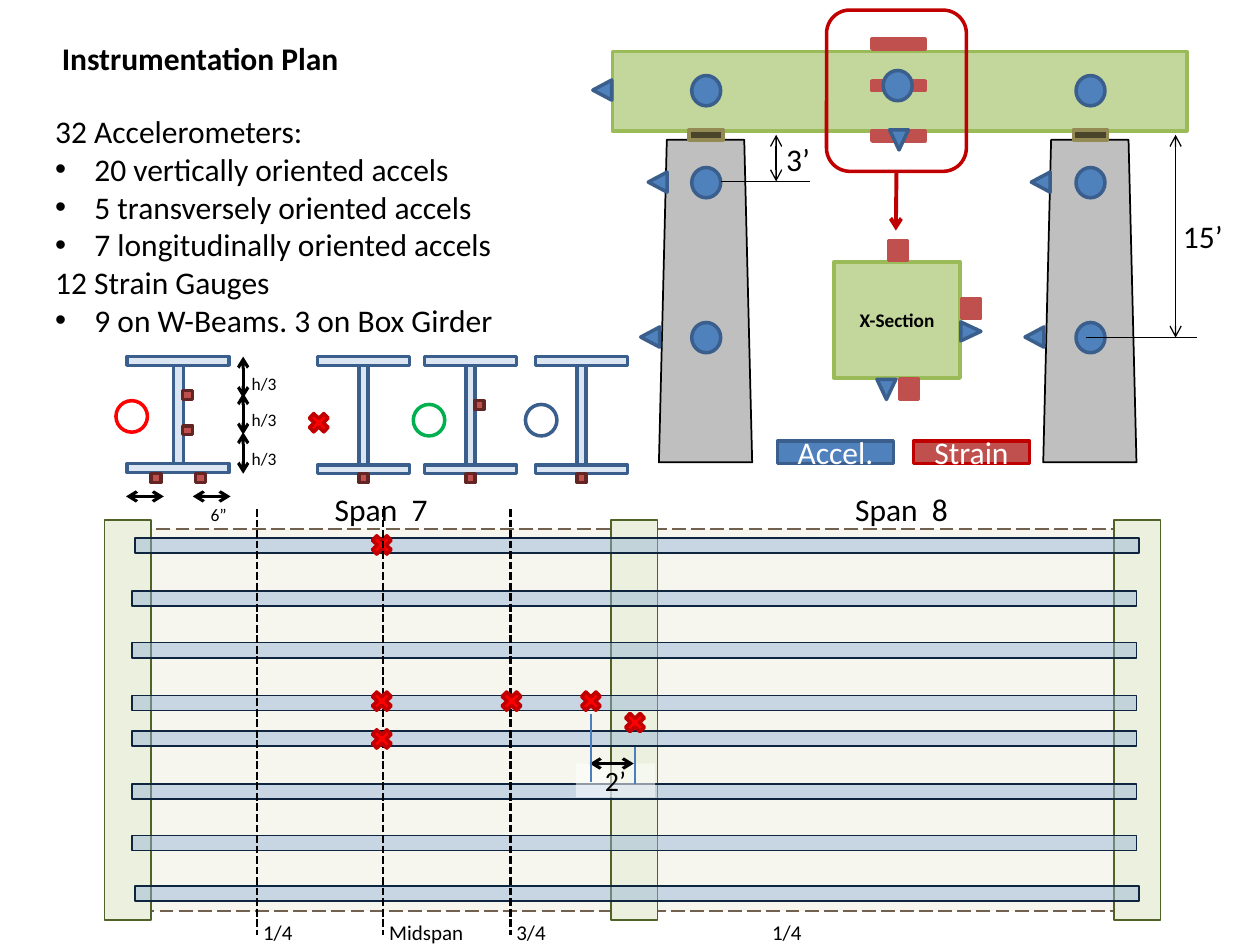
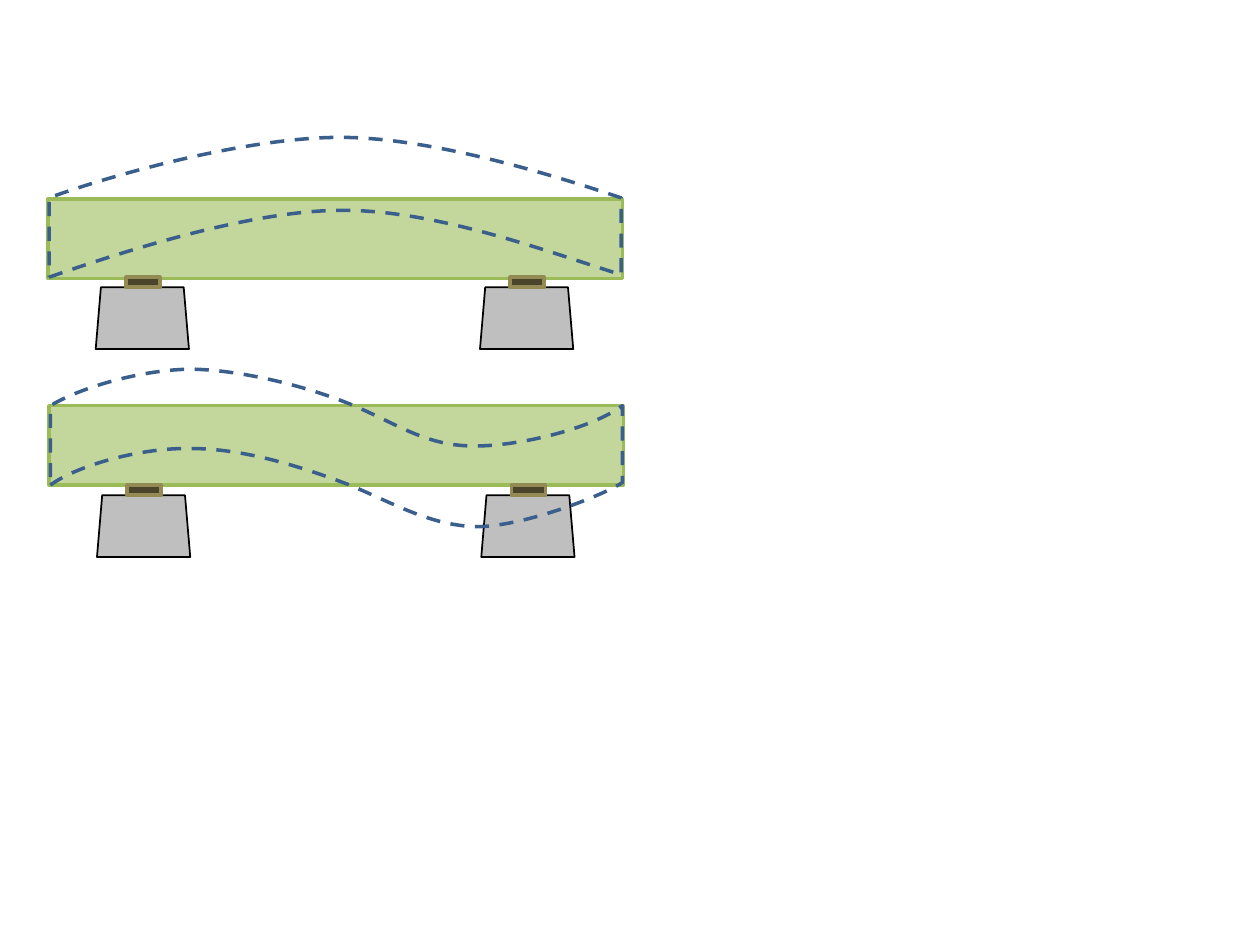
"""Build the bridge instrumentation plan and the girder mode-shape slides."""
from lxml import etree
from pptx import Presentation
from pptx import util as u
from pptx.dml.color import RGBColor
from pptx.enum import dml, shapes, text
from pptx.oxml.ns import qn

KIND = shapes.MSO_SHAPE
DASH = dml.MSO_LINE
CENTER, LEFT = text.PP_ALIGN.CENTER, text.PP_ALIGN.LEFT
TOP, MIDDLE = text.MSO_ANCHOR.TOP, text.MSO_ANCHOR.MIDDLE
FONT = "Calibri"
CM_PER_UNIT = 2.54

BLACK = RGBColor(0x00, 0x00, 0x00)
WHITE = RGBColor(0xFF, 0xFF, 0xFF)
RED = RGBColor(0xFF, 0x00, 0x00)
DARK_RED = RGBColor(0xC0, 0x00, 0x00)
GREEN = RGBColor(0x00, 0xB0, 0x50)
BLUE = RGBColor(0x4F, 0x81, 0xBD)
EDGE_BLUE = RGBColor(0x3A, 0x5F, 0x8C)
THIN_BLUE = RGBColor(0x4B, 0x7E, 0xBC)
BRICK = RGBColor(0xC0, 0x50, 0x4D)

STEEL = (RGBColor(0xDC, 0xE6, 0xF2), EDGE_BLUE, 2)
GAUGE = (BRICK, RGBColor(0x63, 0x25, 0x23), 2)
STRAIN = (BRICK, BRICK, 2)
STRAIN_KEY = (BRICK, DARK_RED, 2)
ACCEL = (BLUE, EDGE_BLUE, 2)
CROSS = (RED, DARK_RED, 2)
BOX_GIRDER = (RGBColor(0xC3, 0xD6, 0x9B), RGBColor(0x9B, 0xBB, 0x59), 2)
PIER = (RGBColor(0xBF, 0xBF, 0xBF), BLACK, 1)
BEARING = (RGBColor(0x4A, 0x45, 0x2A), RGBColor(0x94, 0x8A, 0x54), 2)
DECK = (RGBColor(0xF6, 0xF5, 0xEE), RGBColor(0x73, 0x61, 0x4F), 1)
CAP = (RGBColor(0xEB, 0xF1, 0xDE), RGBColor(0x4F, 0x62, 0x28), 1)
BEAM = (RGBColor(0x95, 0xB3, 0xD7), RGBColor(0x0F, 0x24, 0x3E), 1)
LABEL = (WHITE, None, 0)
MODE = (None, EDGE_BLUE, 2)

TITLE = "Instrumentation Plan"
PLAN = [
    ("32 Accelerometers:", False),
    ("20 vertically oriented accels", True),
    ("5 transversely oriented accels", True),
    ("7 longitudinally oriented accels", True),
    ("12 Strain Gauges", False),
    ("9 on W-Beams. 3 on Box Girder", True),
]
PLAIN_BEAMS = [
    dict(left=4.25, gauges=[(4.58, 3.76)], ring=(4.17, 3.21, EDGE_BLUE)),
    dict(left=3.37, gauges=[(3.77, 3.18), (3.7, 3.76)], ring=(3.28, 3.21, GREEN)),
    dict(left=2.52, gauges=[(2.85, 3.76)], mark=(2.42, 3.25)),
]
MEASURED_BEAM = dict(
    left=1.01, width=0.81, part=0.08, bottom=3.68, ring=(0.92, 3.18, RED),
    gauges=[(1.2, 3.76), (1.45, 3.38), (1.45, 3.1), (1.55, 3.76)])
THIRDS = [2.83, 3.12, 3.43]
CAP_LEFTS = [0.83, 4.85, 8.84]
BEAM_PLACES = [(1.07, 4.27), (1.07, 7.03)] + [
    (1.05, top) for top in (4.69, 5.52, 5.1, 5.8, 6.22, 6.63)]
SPANS = [("Span  7", 2.32), ("Span  8", 6.45)]
STATIONS = [("1/4", 2.04, 0.53, True), ("Midspan", 3.04, 0.94, True),
            ("3/4", 4.05, 0.53, True), ("1/4", 6.08, 0.53, False)]
UPPER_CROSSES = [(2.92, 5.46), (3.95, 5.46), (2.92, 5.76), (4.58, 5.46), (4.93, 5.63)]
SENSOR_COLUMNS = [5.49, 8.54]
SENSOR_ROWS = [0.6, 1.33, 2.56]
VERTICAL_ACCELS = [(7.06, 1.03), (6.96, 3.01)]
SIDE_ACCELS = [(4.7, 0.64), (5.14, 1.37), (8.18, 1.37), (5.08, 2.6), (8.13, 2.6)]
SECTION_GAUGES = [(7.14, 3.01), (7.05, 1.91), (7.63, 2.37)]
KEYS = [("Accel.", 6.17, ACCEL), ("Strain", 7.25, STRAIN_KEY)]

MODES = [
    ((0.38, 1.58), (0.76, 2.28), (0.39, 2.2), [
        [(0.82, 2.05), (1.94, 1.67), (2.7, 1.67)],
        [(3.46, 1.66), (4.38, 2.01), (4.93, 2.18)],
        [(4.93, 1.57)],
        [(4.48, 1.42), (3.46, 1.09), (2.7, 1.09)],
        [(1.94, 1.09), (0.85, 1.4), (0.39, 1.57)],
        [(0.39, 2.2)]]),
    ((0.39, 3.22), (0.77, 3.93), (0.4, 3.85), [
        [(0.62, 3.69), (1.13, 3.55), (1.52, 3.56)],
        [(1.93, 3.56), (2.38, 3.7), (2.75, 3.84)],
        [(3.1, 3.98), (3.4, 4.17), (3.78, 4.18)],
        [(4.15, 4.18), (4.77, 3.94), (4.94, 3.83)],
        [(4.94, 3.22)],
        [(4.68, 3.41), (4.11, 3.54), (3.77, 3.54)],
        [(3.39, 3.54), (3.18, 3.38), (2.81, 3.22)],
        [(2.45, 3.07), (1.94, 2.94), (1.53, 2.93)],
        [(1.14, 2.93), (0.65, 3.07), (0.4, 3.22)],
        [(0.4, 3.85)]]),
]


def size(*values):
    return [u.Cm(value * CM_PER_UNIT) for value in values]


def paint(shape, style, dash=None, opacity=None):
    fill, line, width = style
    shape.shadow.inherit = False
    if fill is None:
        shape.fill.background()
    else:
        shape.fill.solid()
        shape.fill.fore_color.rgb = fill
    if opacity:
        color = shape.element.spPr.find(qn("a:solidFill"))[0]
        etree.SubElement(color, qn("a:alpha")).set("val", str(opacity * 1000))
    if line is None:
        shape.line.fill.background()
        return
    shape.line.color.rgb = line
    shape.line.width = u.Pt(width)
    if dash:
        shape.line.dash_style = dash


def draw(home, kind, place, style, turn=0, adjust=None, **look):
    shape = home.add_shape(kind, *size(*place))
    paint(shape, style, **look)
    shape.rotation = turn
    if adjust is not None:
        shape.adjustments[0] = adjust
    return shape


def bar(home, place, style, **look):
    return draw(home, KIND.RECTANGLE, place, style, **look)


def write(frame, lines, points=18, bold=False, color=BLACK, align=LEFT, anchor=TOP, inset=None):
    frame.word_wrap = True
    frame.vertical_anchor = anchor
    if inset is not None:
        frame.margin_left = frame.margin_right = frame.margin_top = frame.margin_bottom = u.Cm(inset)
    if isinstance(lines, str):
        lines = [(lines, False)]
    for index, (words, bulleted) in enumerate(lines):
        para = frame.add_paragraph() if index else frame.paragraphs[0]
        para.alignment = align
        if bulleted:
            settings = para._p.get_or_add_pPr()
            indent = u.Cm(0.79)
            settings.set("marL", str(indent))
            settings.set("indent", str(-indent))
            etree.SubElement(settings, qn("a:buFont")).set("typeface", "Arial")
            etree.SubElement(settings, qn("a:buChar")).set("char", "•")
        span = para.add_run()
        span.text = words
        span.font.name = FONT
        span.font.size = u.Pt(points)
        span.font.bold = bold
        span.font.color.rgb = color


def label(home, words, place, **look):
    frame = home.add_textbox(*size(*place)).text_frame
    write(frame, words, **look)
    frame.auto_size = text.MSO_AUTO_SIZE.SHAPE_TO_FIT_TEXT


def link(home, ends, color=BLACK, width=0.75, dash=None, heads=(), source=None):
    line = home.add_connector(shapes.MSO_CONNECTOR.STRAIGHT, *size(*ends))
    if source is not None:
        line.begin_connect(source, 2)
    line.line.color.rgb = color
    line.line.width = u.Pt(width)
    if dash:
        line.line.dash_style = dash
    properties = line.element.spPr
    for head in heads:
        etree.SubElement(properties.find(qn("a:ln")), qn("a:" + head)).set("type", "arrow")
    etree.SubElement(properties, qn("a:effectLst"))


def measure(home, ends, width=1.75):
    link(home, ends, width=width, heads=("headEnd", "tailEnd"))


def cross(home, left, top):
    draw(home, KIND.MATH_MULTIPLY, (left, top, 0.22, 0.21), CROSS)


def w_beam(home, left, gauges, width=0.73, part=0.07, bottom=3.69, ring=None, mark=None):
    if mark:
        cross(home, *mark)
    for top in (2.83, bottom):
        bar(home, (left, top, width, 0.07), STEEL)
    bar(home, (left + (width - part) / 2, 2.9, part, bottom - 2.9), STEEL)
    for place in gauges:
        bar(home, (*place, part, 0.07), GAUGE)
    if ring:
        x, y, color = ring
        draw(home, KIND.OVAL, (x, y, 0.25, 0.25), (None, color, 2))


def box_girder(home, corner, pier, pier_height):
    bar(home, (*corner, 4.56, 0.63), BOX_GIRDER)
    left, top = pier
    for x in (left, left + 3.05):
        draw(home, KIND.TRAPEZOID, (x, top, 0.74, pier_height), PIER, adjust=0.085)
        bar(home, (x + 0.24, top - 0.08, 0.27, 0.08), BEARING)


def mode_shape(home, start, segments):
    builder = home.build_freeform(*size(*start))
    builder.add_line_segments([size(*segment[-1]) for segment in segments], close=True)
    shape = builder.convert_to_shape()
    paint(shape, MODE, dash=DASH.DASH)
    for step, segment in zip(list(shape.element.iter(qn("a:lnTo"))), segments):
        if len(segment) == 1:
            continue
        curve = etree.Element(qn("a:cubicBezTo"))
        for point in segment:
            x, y = size(*point)
            spot = etree.SubElement(curve, qn("a:pt"))
            spot.set("x", str(x - shape.left))
            spot.set("y", str(y - shape.top))
        step.getparent().replace(step, curve)


def deck_plan(home):
    bar(home, (0.93, 4.2, 8.17, 3.03), DECK, dash=DASH.LONG_DASH)
    for left in CAP_LEFTS:
        bar(home, (left, 4.13, 0.37, 3.17), CAP)
    for place in BEAM_PLACES:
        bar(home, (*place, 7.97, 0.12), BEAM, opacity=47)
    cross(home, 2.92, 4.22)
    offset = bar(home, (4.57, 6.06, 0.63, 0.27), LABEL, opacity=54)
    write(offset.text_frame, "2’", points=16, align=CENTER, inset=0)
    for words, left in SPANS:
        label(home, words, (left, 3.84, 1.41, 0.4), align=CENTER)
    measure(home, (4.68, 6.06, 5.03, 6.06))
    for words, x, width, marked in STATIONS:
        if marked:
            link(home, (x, 4.04, x, 7.42), width=1.5, dash=DASH.SQUARE_DOT)
        label(home, words, (x - 0.05, 7.25, width, 0.3), points=12)
    for x, top, bottom in ((5.04, 5.93, 6.22), (4.69, 5.67, 6.21)):
        link(home, (x, top, x, bottom), color=THIN_BLUE)


def measured_section(home):
    w_beam(home, **MEASURED_BEAM)
    for top in THIRDS:
        measure(home, (1.93, top + 0.33, 1.93, top))
        label(home, "h/3", (1.67, top + 0.08, 0.85, 0.27), points=10, align=CENTER)
    for left in (1, 1.53):
        measure(home, (left + 0.3, 3.94, left, 3.94))
    label(home, "6”", (1.31, 3.95, 0.85, 0.27), points=10, align=CENTER)


def elevation(home):
    box_girder(home, (4.86, 0.41), (5.23, 1.11), 2.56)
    for top in (0.31, 0.64, 1.04):
        bar(home, (6.92, top, 0.42, 0.08), STRAIN)
    for place in [(x, y) for x in SENSOR_COLUMNS for y in SENSOR_ROWS] + [(7.01, 0.56)]:
        draw(home, KIND.OVAL, (*place, 0.23, 0.24), ACCEL)
    section = bar(home, (6.62, 2.08, 1, 0.92), BOX_GIRDER)
    write(section.text_frame, "X-Section", points=11, bold=True, align=CENTER, anchor=MIDDLE)
    for place in VERTICAL_ACCELS:
        draw(home, KIND.ISOSCELES_TRIANGLE, (*place, 0.15, 0.16), ACCEL, turn=180)
    for place in SIDE_ACCELS:
        draw(home, KIND.ISOSCELES_TRIANGLE, (*place, 0.16, 0.15), ACCEL, turn=270)
    for place in SECTION_GAUGES:
        bar(home, (*place, 0.15, 0.16), STRAIN)
    draw(home, KIND.ISOSCELES_TRIANGLE, (7.63, 2.55, 0.15, 0.16), ACCEL, turn=90)
    for x, bottom, left, right in ((6.16, 1.44, 5.72, 6.43), (9.33, 2.68, 8.62, 9.5)):
        measure(home, (x, bottom, x, 1.07), width=0.75)
        link(home, (left, bottom, right, bottom))
    label(home, "3’", (6.14, 1.06, 0.58, 0.4))
    label(home, "15’", (9.29, 1.67, 0.58, 0.4))
    focus = draw(home, KIND.ROUNDED_RECTANGLE, (6.56, 0.08, 1.11, 1.28), (None, DARK_RED, 2))
    link(home, (7.11, 1.36, 7.11, 1.83), color=DARK_RED, width=2.25, heads=("tailEnd",), source=focus)


def plan_slide(deck):
    page = deck.slides.add_slide(deck.slide_layouts[5])
    home, title = page.shapes, page.shapes.title
    title.left, title.top, title.width, title.height = size(0.39, 0.26, 4.06, 0.4)
    title.text_frame.auto_size = text.MSO_AUTO_SIZE.NONE
    write(title.text_frame, TITLE, bold=True)
    label(home, PLAN, (0.34, 0.84, 3.86, 2.83))
    for beam in PLAIN_BEAMS:
        w_beam(home.add_group_shape().shapes, **beam)
    deck_plan(home)
    measured_section(home.add_group_shape().shapes)
    elevation(home.add_group_shape().shapes)
    for words, left, style in KEYS:
        key = bar(home, (left, 3.5, 0.92, 0.18), style)
        write(key.text_frame, words, color=WHITE, align=CENTER, anchor=MIDDLE)
    for place in UPPER_CROSSES:
        cross(home, *place)


def main():
    deck = Presentation()
    deck.slide_width, deck.slide_height = u.Cm(25.4), u.Cm(19.05)
    plan_slide(deck)
    page = deck.slides.add_slide(deck.slide_layouts[6])
    for corner, pier, start, segments in MODES:
        box_girder(page.shapes, corner, pier, 0.49)
        mode_shape(page.shapes, start, segments)
    deck.save("out.pptx")


if __name__ == "__main__":
    main()
